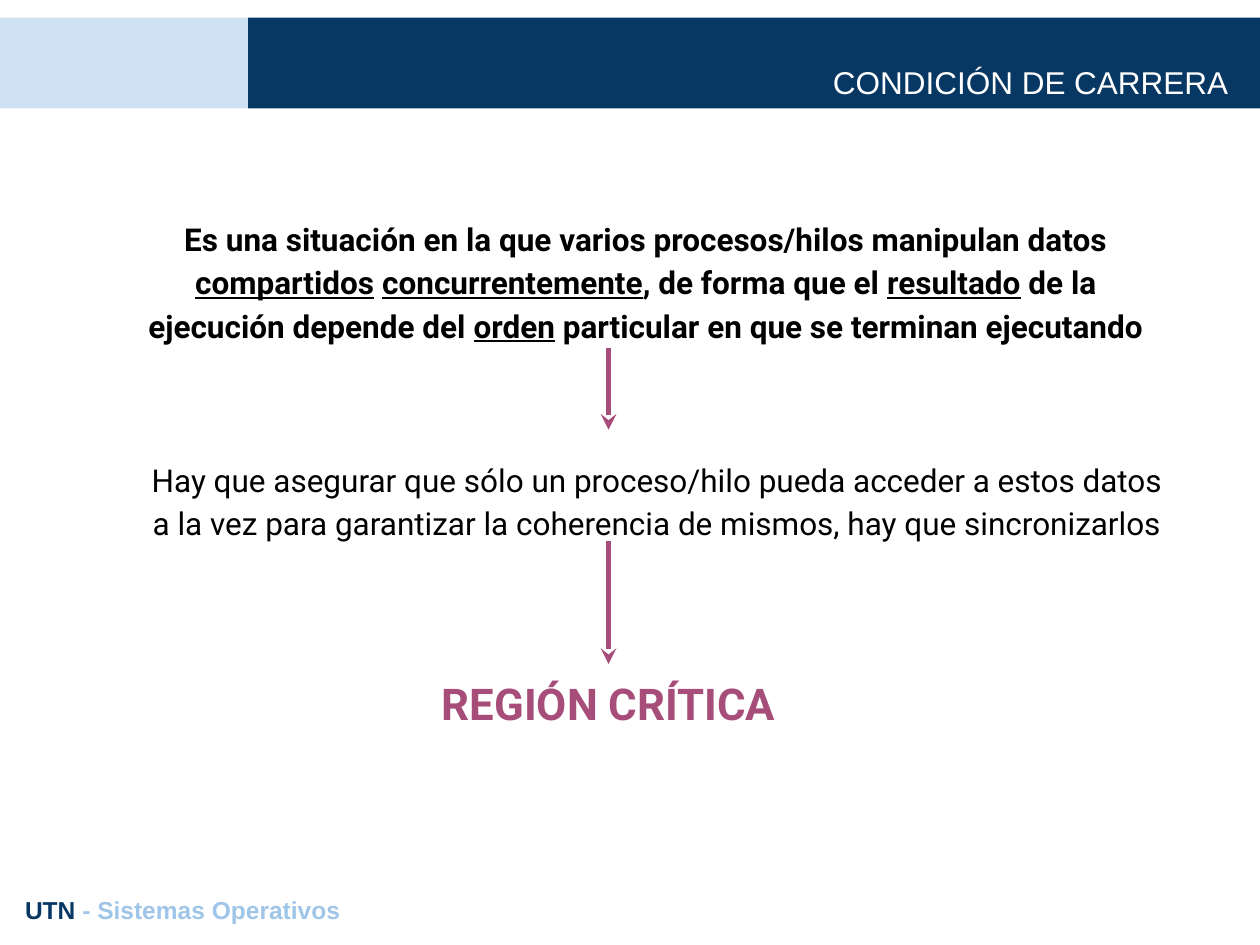
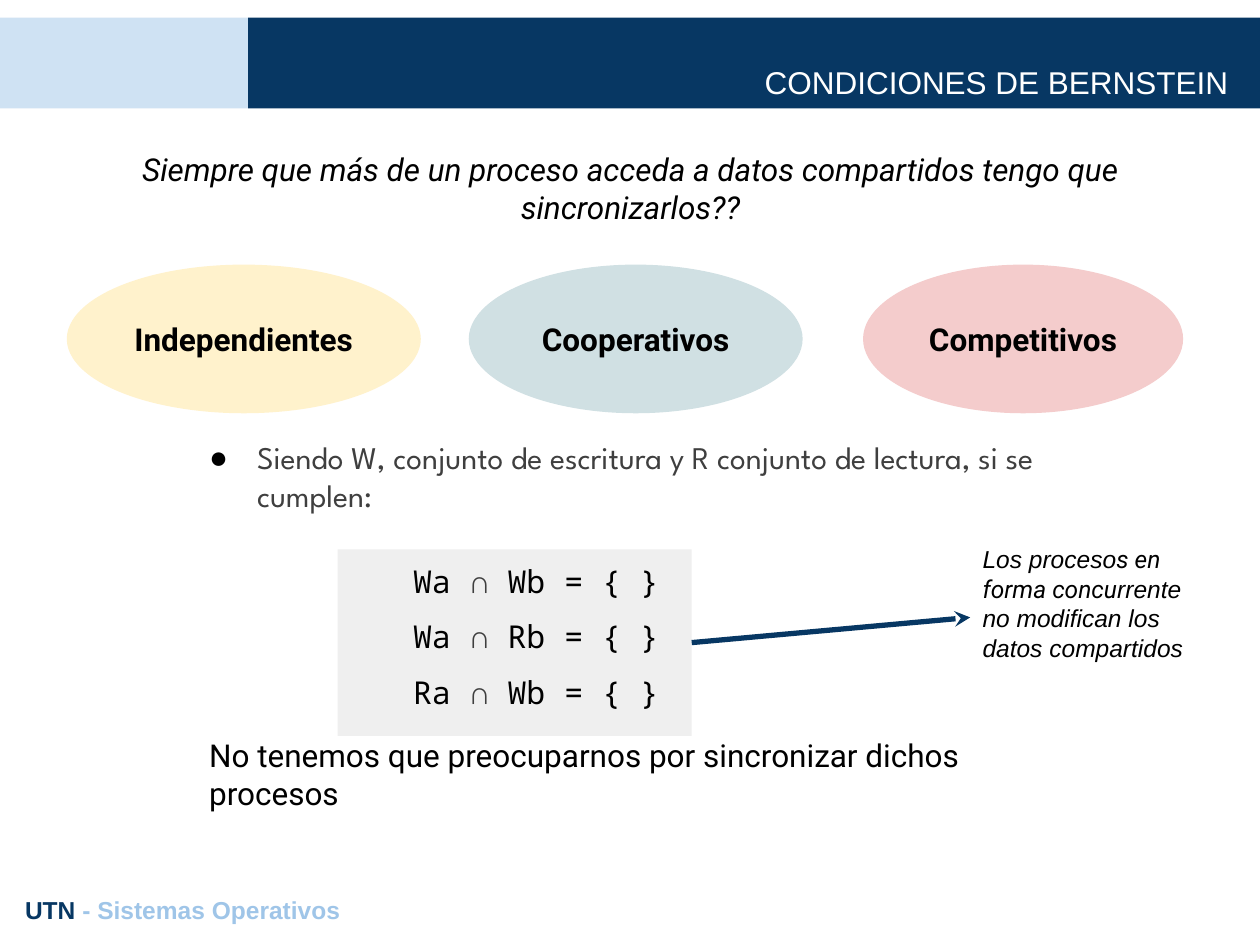
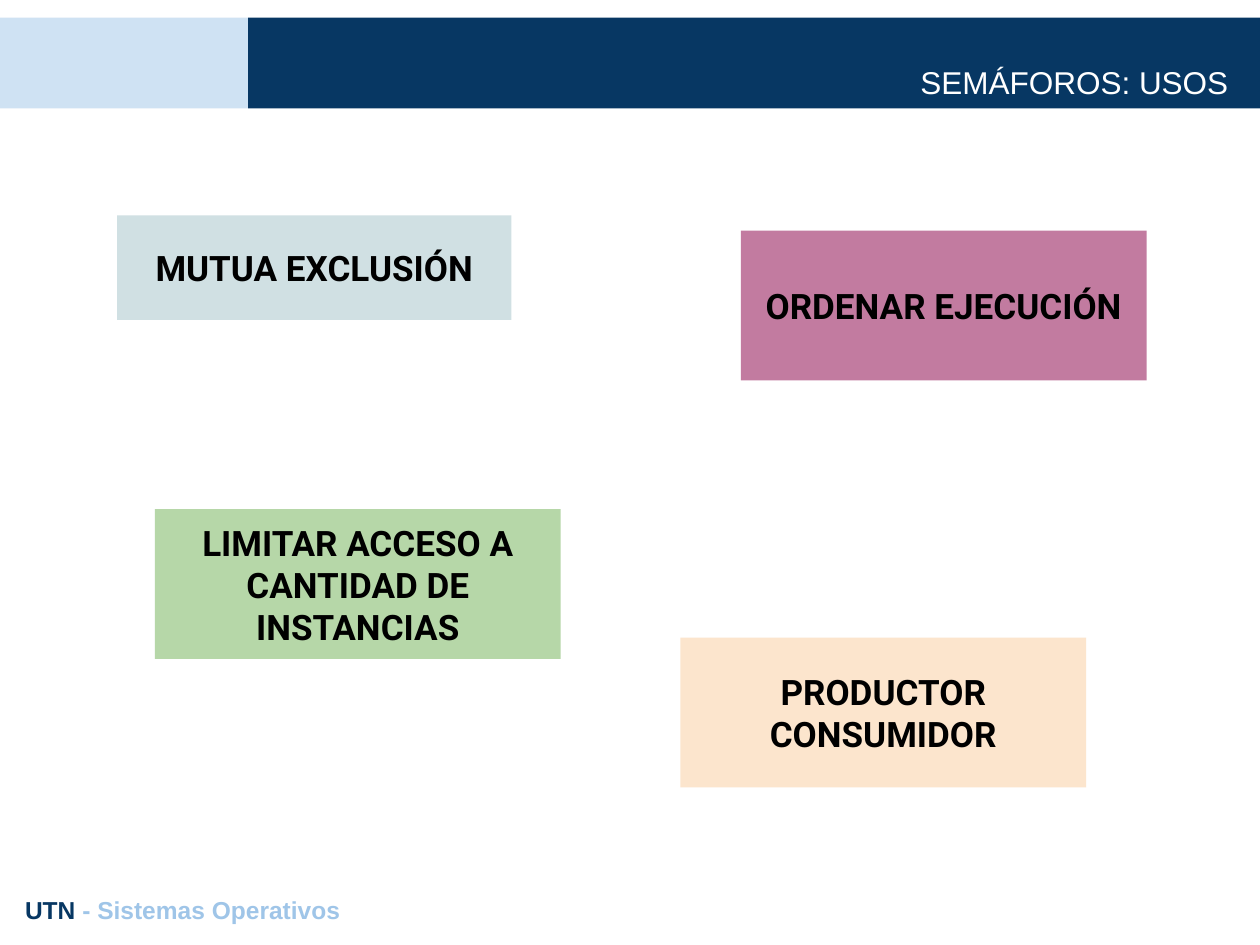
from lxml import etree
from pptx import Presentation
from pptx.dml.color import RGBColor
from pptx.enum.shapes import MSO_CONNECTOR, MSO_SHAPE
from pptx.enum.text import MSO_ANCHOR, MSO_AUTO_SIZE, PP_ALIGN
from pptx.oxml.ns import qn
from pptx.util import Inches, Pt

RECTANGLE, OVAL = MSO_SHAPE.RECTANGLE, MSO_SHAPE.OVAL
STRAIGHT = MSO_CONNECTOR.STRAIGHT
TOP, MIDDLE, BOTTOM = MSO_ANCHOR.TOP, MSO_ANCHOR.MIDDLE, MSO_ANCHOR.BOTTOM
LEFT, CENTER, RIGHT = PP_ALIGN.LEFT, PP_ALIGN.CENTER, PP_ALIGN.RIGHT
NO_AUTOFIT = MSO_AUTO_SIZE.NONE
SIDE_TOP, SIDE_LEFT, SIDE_RIGHT = 0, 1, 3
LAYOUT_CONTENT, LAYOUT_TITLE_ONLY = 1, 5

NAVY = RGBColor(0x07, 0x37, 0x63)
PALE_BLUE = RGBColor(0xCF, 0xE2, 0xF3)
SKY_BLUE = RGBColor(0x9F, 0xC5, 0xE8)
MAGENTA = RGBColor(0xA6, 0x4D, 0x79)
PINK = RGBColor(0xC2, 0x7B, 0xA0)
ROSE = RGBColor(0xF4, 0xCC, 0xCC)
TEAL = RGBColor(0xD0, 0xE0, 0xE3)
CREAM = RGBColor(0xFF, 0xF2, 0xCC)
GREEN = RGBColor(0xB6, 0xD7, 0xA8)
PEACH = RGBColor(0xFC, 0xE5, 0xCD)
LIGHT_GRAY = RGBColor(0xEF, 0xEF, 0xEF)
DARK_GRAY = RGBColor(0x3F, 0x3F, 0x3F)
BLACK = RGBColor(0, 0, 0)
WHITE = RGBColor(0xFF, 0xFF, 0xFF)

ARIAL, ROBOTO = "Arial", "Roboto"
SPARTAN, MONO = "League Spartan", "Noto Sans Mono"


def inches(values):
    return [Inches(value) for value in values]


def set_frame(shape, anchor=TOP, vertical_inset=0.1):
    frame = shape.text_frame
    frame.word_wrap = True
    frame.auto_size = NO_AUTOFIT
    frame.vertical_anchor = anchor
    frame.margin_left = frame.margin_right = Inches(0.1)
    frame.margin_top = frame.margin_bottom = Inches(vertical_inset)
    return frame


def place(shape, box):
    shape.left, shape.top, shape.width, shape.height = inches(box)


def add_run(paragraph, text, size=18, font=ROBOTO, color=BLACK,
            bold=False, italic=False, underline=False):
    run = paragraph.add_run()
    run.text = text
    run.font.size = Pt(size)
    run.font.name = font
    run.font.color.rgb = color
    run.font.bold = bold
    run.font.italic = italic
    run.font.underline = underline


def add_text(slide, box, runs, anchor=TOP, align=LEFT, line_spacing=None, **style):
    shape = slide.shapes.add_textbox(*inches(box))
    paragraph = set_frame(shape, anchor).paragraphs[0]
    paragraph.alignment = align
    paragraph.line_spacing = line_spacing
    for text, changes in runs:
        add_run(paragraph, text, **{**style, **changes})
    return shape


def add_block(slide, kind, box, fill):
    shape = slide.shapes.add_shape(kind, *inches(box))
    shape.shadow.inherit = False
    shape.fill.solid()
    shape.fill.fore_color.rgb = fill
    shape.line.fill.background()
    return shape


def add_label(slide, kind, box, fill, text, size):
    paragraph = set_frame(add_block(slide, kind, box, fill), MIDDLE).paragraphs[0]
    paragraph.alignment = CENTER
    add_run(paragraph, text, size, bold=True)


def add_arrow(slide, start, end, color):
    arrow = slide.shapes.add_connector(STRAIGHT, *inches(start + end))
    arrow.line.color.rgb = color
    arrow.line.width = Pt(3)
    properties = arrow.element.spPr
    etree.SubElement(properties.find(qn("a:ln")), qn("a:tailEnd"), type="stealth")
    etree.SubElement(properties, qn("a:effectLst"))
    return arrow


def set_indent(paragraph, margin, hanging=0.0):
    properties = paragraph._p.get_or_add_pPr()
    properties.set("marL", str(Inches(margin)))
    properties.set("indent", str(-Inches(hanging)))
    return properties


def set_bullet(paragraph, color):
    properties = set_indent(paragraph, 0.38, 0.38)
    bullet_color = etree.SubElement(properties, qn("a:buClr"))
    etree.SubElement(bullet_color, qn("a:srgbClr"), val=str(color))
    etree.SubElement(properties, qn("a:buFont"), typeface=ARIAL)
    etree.SubElement(properties, qn("a:buChar"), char="●")


def add_base_slide(presentation, layout, title_text):
    slide = presentation.slides.add_slide(presentation.slide_layouts[layout])
    title = slide.shapes.title
    for left, width, color in ((0, 1.97, PALE_BLUE), (1.97, 8.04, NAVY)):
        band = add_block(slide, RECTANGLE, (left, 0.14, width, 0.72), color)
        title.element.addprevious(band.element)
    place(title, (1.35, 0.4, 8.5, 0.5))
    paragraph = set_frame(title, BOTTOM).paragraphs[0]
    paragraph.alignment = RIGHT
    add_run(paragraph, title_text, font=ARIAL, color=WHITE)
    add_text(slide, (0.1, 7, 9.81, 0.44),
             [("UTN ", {"color": NAVY}), ("- Sistemas Operativos", {"color": SKY_BLUE})],
             size=14, font=ARIAL, bold=True)
    return slide


def build_race_condition(presentation):
    slide = add_base_slide(presentation, LAYOUT_TITLE_ONLY, "CONDICIÓN DE CARRERA")
    underlined = {"underline": True}
    definition = [
        ("Es una situación en la que varios procesos/hilos manipulan datos ", {}),
        ("compartidos", underlined),
        (" ", {}),
        ("concurrentemente", underlined),
        (", de forma que el ", {}),
        ("resultado", underlined),
        (" de la ejecución depende del ", {}),
        ("orden", underlined),
        (" particular en que se terminan ejecutando", {}),
    ]
    add_text(slide, (0.95, 1.37, 8.35, 1.69), definition, MIDDLE, CENTER, 1.15, bold=True)
    add_text(slide, (1.04, 3.11, 8.35, 1.69),
             [("Hay que asegurar que sólo un proceso/hilo pueda acceder a estos datos a la vez "
               "para garantizar la coherencia de mismos, hay que sincronizarlos", {})],
             MIDDLE, CENTER, 1.15)
    region = add_text(slide, (2.27, 5.27, 5.12, 0.72), [("REGIÓN CRÍTICA", {})],
                      align=CENTER, size=25, color=MAGENTA, bold=True)
    add_arrow(slide, (4.83, 2.76), (4.83, 3.41), MAGENTA)
    region_arrow = add_arrow(slide, (4.83, 4.29), (4.83, 5.27), MAGENTA)
    region_arrow.end_connect(region, SIDE_TOP)


def add_conditions(slide):
    box = add_block(slide, RECTANGLE, (2.68, 4.36, 2.81, 1.48), LIGHT_GRAY)
    frame = set_frame(box)
    for index, (first, second) in enumerate((("Wa", "Wb"), ("Wa", "Rb"), ("Ra", "Wb"))):
        paragraph = frame.add_paragraph() if index else frame.paragraphs[0]
        paragraph.alignment = LEFT
        paragraph.space_before = Pt(10)
        set_indent(paragraph, 0.5)
        add_run(paragraph, f"{first} ", font=MONO)
        add_run(paragraph, "∩", font=MONO, color=DARK_GRAY)
        add_run(paragraph, f" {second} = {{ }}", font=MONO)
    return box


def fill_bernstein_body(body):
    place(body, (1.56, 3.43, 6.98, 3.35))
    frame = set_frame(body, vertical_inset=0.05)
    premise = frame.paragraphs[0]
    premise.space_before = Pt(10)
    set_bullet(premise, BLACK)
    add_run(premise, "Siendo W, conjunto de escritura y R conjunto de lectura, si se cumplen:",
            font=SPARTAN, color=DARK_GRAY)
    conclusion = frame.add_paragraph()
    conclusion.space_before = Pt(127)
    etree.SubElement(set_indent(conclusion, 0), qn("a:buNone"))
    add_run(conclusion, "No tenemos que preocuparnos por sincronizar dichos procesos")


def build_bernstein(presentation):
    slide = add_base_slide(presentation, LAYOUT_CONTENT, "CONDICIONES DE BERNSTEIN")
    for left, width, color, text in (
        (0.53, 2.81, CREAM, "Independientes"),
        (3.72, 2.65, TEAL, "Cooperativos"),
        (6.85, 2.54, ROSE, "Competitivos"),
    ):
        add_label(slide, OVAL, (left, 2.1, width, 1.18), color, text, 18)
    add_text(slide, (0.35, 1.13, 9.31, 0.72),
             [("Siempre que más de un proceso acceda a datos compartidos "
               "tengo que sincronizarlos??", {})],
             MIDDLE, CENTER, italic=True)
    fill_bernstein_body(slide.placeholders[1])
    conditions = add_conditions(slide)
    remark = add_text(slide, (7.7, 4.22, 1.97, 1.36),
                      [("Los proceso", {}),
                       ("s en forma concu", {"font": ROBOTO}),
                       ("rrente no modifican los datos compartidos", {})],
                      size=14, font=ARIAL, italic=True)
    arrow = add_arrow(slide, (5.49, 5.1), (7.7, 4.9), NAVY)
    arrow.begin_connect(conditions, SIDE_RIGHT)
    arrow.end_connect(remark, SIDE_LEFT)


def build_semaphore_uses(presentation):
    slide = add_base_slide(presentation, LAYOUT_TITLE_ONLY, "SEMÁFOROS: USOS")
    for box, color, text in (
        ((0.93, 1.71, 3.13, 0.83), TEAL, "MUTUA EXCLUSIÓN"),
        ((1.23, 4.04, 3.22, 1.19), GREEN, "LIMITAR ACCESO A CANTIDAD DE INSTANCIAS"),
        ((5.88, 1.83, 3.22, 1.19), PINK, "ORDENAR EJECUCIÓN"),
        ((5.4, 5.06, 3.22, 1.19), PEACH, "PRODUCTOR CONSUMIDOR"),
    ):
        add_label(slide, RECTANGLE, box, color, text, 20)


def main():
    presentation = Presentation()
    presentation.slide_width = Inches(10)
    presentation.slide_height = Inches(7.5)
    build_race_condition(presentation)
    build_bernstein(presentation)
    build_semaphore_uses(presentation)
    presentation.save("out.pptx")


if __name__ == "__main__":
    main()
